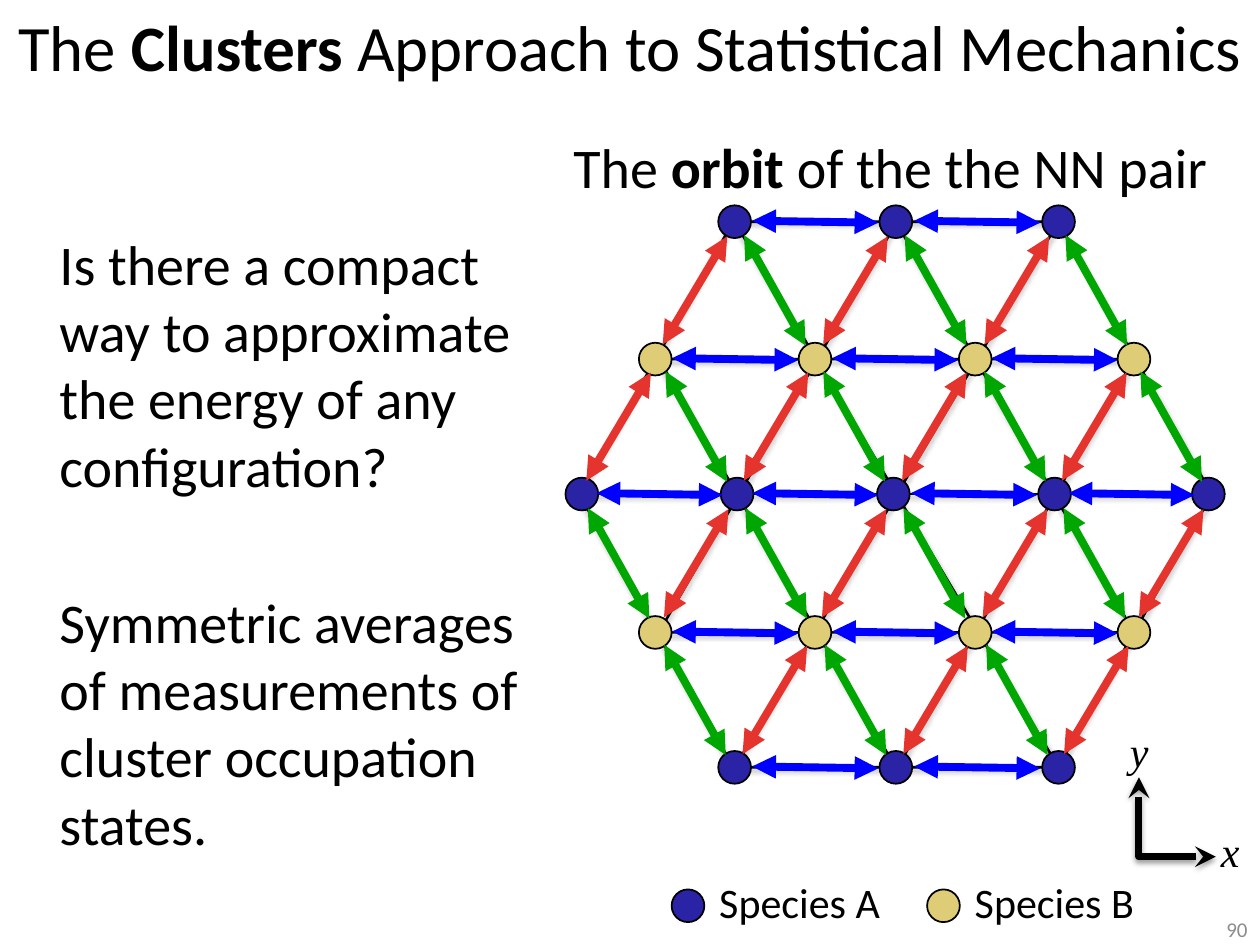
from lxml import etree
from pptx import Presentation
from pptx.dml.color import RGBColor
from pptx.enum.shapes import MSO_CONNECTOR, MSO_SHAPE
from pptx.enum.text import MSO_ANCHOR, PP_ALIGN
from pptx.oxml.ns import qn
from pptx.util import Cm, Pt

STRAIGHT = MSO_CONNECTOR.STRAIGHT
OVAL = MSO_SHAPE.OVAL
HEXAGON = MSO_SHAPE.HEXAGON
TRIANGLE = MSO_SHAPE.ISOSCELES_TRIANGLE
TOP, MIDDLE = MSO_ANCHOR.TOP, MSO_ANCHOR.MIDDLE
LEFT, CENTER, RIGHT = PP_ALIGN.LEFT, PP_ALIGN.CENTER, PP_ALIGN.RIGHT

COLORS = {
    "black": "000000",
    "grey": "8C8C8C",
    "species_a": "2A23A6",
    "species_b": "DECC76",
    "red": "E5332E",
    "blue": "0000FF",
    "green": "00A702",
}
DOT = 0.66
ROW_Y = [0.33, 3.1, 5.82, 8.61, 11.33]
OUTER = [3.41, 6.66, 9.94]
INNER = [1.81, 5.03, 8.26, 11.46]
ROW_X = [OUTER, INNER, [0.33, 3.46, 6.61, 9.86, 12.96], INNER, OUTER]
HALF_ARROW = {"red": (-0.65, 1.09), "blue": (1.27, 0.02), "green": (0.62, 1.11)}


def rgb(name):
    return RGBColor.from_string(COLORS[name])


def set_effects(s, shadow=False):
    effects = etree.SubElement(s._element.spPr, qn("a:effectLst"))
    if shadow:
        outer = etree.SubElement(
            effects, qn("a:outerShdw"), blurRad="40000", dist="20000",
            dir="5400000", rotWithShape="0")
        color = etree.SubElement(outer, qn("a:srgbClr"), val=COLORS["black"])
        etree.SubElement(color, qn("a:alpha"), val="38000")


def style_line(s, color, width, heads=None, shadow=False):
    s.line.color.rgb = rgb(color)
    s.line.width = Pt(width)
    if heads:
        ln = s.line._get_or_add_ln()
        for tag in ("a:headEnd", "a:tailEnd"):
            etree.SubElement(ln, qn(tag), type=heads)
    set_effects(s, shadow)


def add_line(shapes, start, end, color, width, heads=None, shadow=False):
    s = shapes.add_connector(STRAIGHT, *(Cm(v) for v in (*start, *end)))
    style_line(s, color, width, heads, shadow)


def add_outline(shapes, kind, x, y, w, h):
    s = shapes.add_shape(kind, Cm(x), Cm(y), Cm(w), Cm(h))
    s.fill.background()
    style_line(s, "black", 1.5, shadow=True)
    return s


def add_dot(shapes, x, y, color):
    s = shapes.add_shape(OVAL, Cm(x), Cm(y), Cm(DOT), Cm(DOT))
    s.fill.solid()
    s.fill.fore_color.rgb = rgb(color)
    style_line(s, "black", 1)


def add_text(shapes, box, paragraphs, size, font="Calibri", color="black",
             align=LEFT, anchor=TOP, indent=0, gap=0, italic=False, margin=0.25):
    s = shapes.add_textbox(*(Cm(v) for v in box))
    tf = s.text_frame
    tf.word_wrap = True
    tf.vertical_anchor = anchor
    tf.margin_left = tf.margin_right = Cm(margin)
    for i, runs in enumerate(paragraphs):
        p = tf.add_paragraph() if i else tf.paragraphs[0]
        p.alignment = align
        if i:
            p.space_before = Pt(gap)
        if indent:
            pPr = p._p.get_or_add_pPr()
            pPr.set("marL", str(Cm(indent)))
            pPr.set("indent", "0")
        for text, bold in runs:
            r = p.add_run()
            r.text = text
            r.font.name = font
            r.font.size = Pt(size)
            r.font.bold = bold
            r.font.italic = italic
            r.font.color.rgb = rgb(color)


def lattice_bonds():
    bonds = {name: [] for name in HALF_ARROW}
    nodes = [[(x, y) for x in xs] for xs, y in zip(ROW_X, ROW_Y)]
    for row in nodes:
        bonds["blue"] += zip(row, row[1:])
    for upper, lower in zip(nodes, nodes[1:]):
        if len(lower) > len(upper):
            bonds["red"] += zip(upper, lower)
            bonds["green"] += zip(upper, lower[1:])
        else:
            bonds["red"] += zip(upper[1:], lower)
            bonds["green"] += zip(upper, lower)
    return bonds


def add_lattice(slide, left, top):
    mesh = slide.shapes.add_group_shape().shapes
    for (r1, c1), (r2, c2) in (((0, 0), (4, 2)), ((0, 2), (4, 0)), ((2, 0), (2, 4))):
        add_line(mesh, (left + ROW_X[r1][c1], top + ROW_Y[r1]),
                 (left + ROW_X[r2][c2], top + ROW_Y[r2]), "black", 1.5, shadow=True)
    hexagon = add_outline(mesh, HEXAGON, left + 0.28, top + 0.33, 12.75, 11)
    hexagon.adjustments[0] = 0.282
    add_outline(mesh, TRIANGLE, left + 1.88, top + 0.35, 9.58, 8.26)
    add_outline(mesh, TRIANGLE, left + 1.88, top + 3.1, 9.58, 8.26).rotation = 180
    for i, (xs, y) in enumerate(zip(ROW_X, ROW_Y)):
        for x in xs:
            add_dot(mesh, left + x - DOT / 2, top + y - DOT / 2,
                    "species_b" if i % 2 else "species_a")
    for color, pairs in lattice_bonds().items():
        arrows = slide.shapes.add_group_shape().shapes
        dx, dy = HALF_ARROW[color]
        for (x1, y1), (x2, y2) in pairs:
            x, y = left + (x1 + x2) / 2, top + (y1 + y2) / 2
            add_line(arrows, (x + dx, y + dy), (x - dx, y - dy), color, 4.5, "triangle")


def add_legend(slide, left, top):
    shapes = slide.shapes.add_group_shape().shapes
    for i, (label, color) in enumerate((("Species A", "species_a"),
                                        ("Species B", "species_b"))):
        x = left + i * 5.15
        add_text(shapes, (x + 0.71, top, 4.9, 1.27), [[(label, False)]], 24)
        add_dot(shapes, x, top + 0.38, color)


def add_axes(slide, left, top):
    shapes = slide.shapes.add_group_shape().shapes
    builder = shapes.build_freeform(Cm(left), Cm(top))
    builder.add_line_segments([(Cm(left), Cm(top + 1.6)),
                               (Cm(left + 1.55), Cm(top + 1.6))], close=False)
    s = builder.convert_to_shape()
    s.fill.background()
    style_line(s, "black", 4, "stealth", shadow=True)
    for label, dx, dy in (("x", 1.4, 0.84), ("y", -0.43, -1.17)):
        add_text(shapes, (left + dx, top + dy, 0.96, 1.27), [[(label, False)]], 24,
                 font="Times New Roman", italic=True)


def add_texts(slide, width):
    shapes = slide.shapes
    add_text(shapes, (0, 0.05, width, 1.75),
             [[("The ", False), ("Clusters", True),
               (" Approach to Statistical Mechanics", False)]],
             37, align=CENTER, anchor=MIDDLE, margin=0)
    add_text(shapes, (10.36, 2.54, 14.4, 2.64),
             [[("The ", False), ("orbit", True), (" of the the NN pair", False)]],
             32, indent=0.95)
    add_text(shapes, (0, 4.5, 10.8, 13.92),
             [[("Is there a compact way to approximate the energy of any configuration?",
                False)],
              [("Symmetric averages of measurements of cluster occupation states.",
                False)]],
             32, indent=0.95, gap=51)
    add_text(shapes, (width - 5.28, 18.42, 5.28, 0.63), [[("90", False)]], 12,
             color="grey", align=RIGHT, anchor=MIDDLE)


def main():
    prs = Presentation()
    prs.slide_width, prs.slide_height = Cm(25.4), Cm(19.05)
    slide = prs.slides.add_slide(prs.slide_layouts[6])
    add_lattice(slide, 11.4, 4.14)
    add_legend(slide, 13.54, 17.55)
    add_axes(slide, 22.96, 15.67)
    add_texts(slide, 25.4)
    prs.save("out.pptx")


if __name__ == "__main__":
    main()
